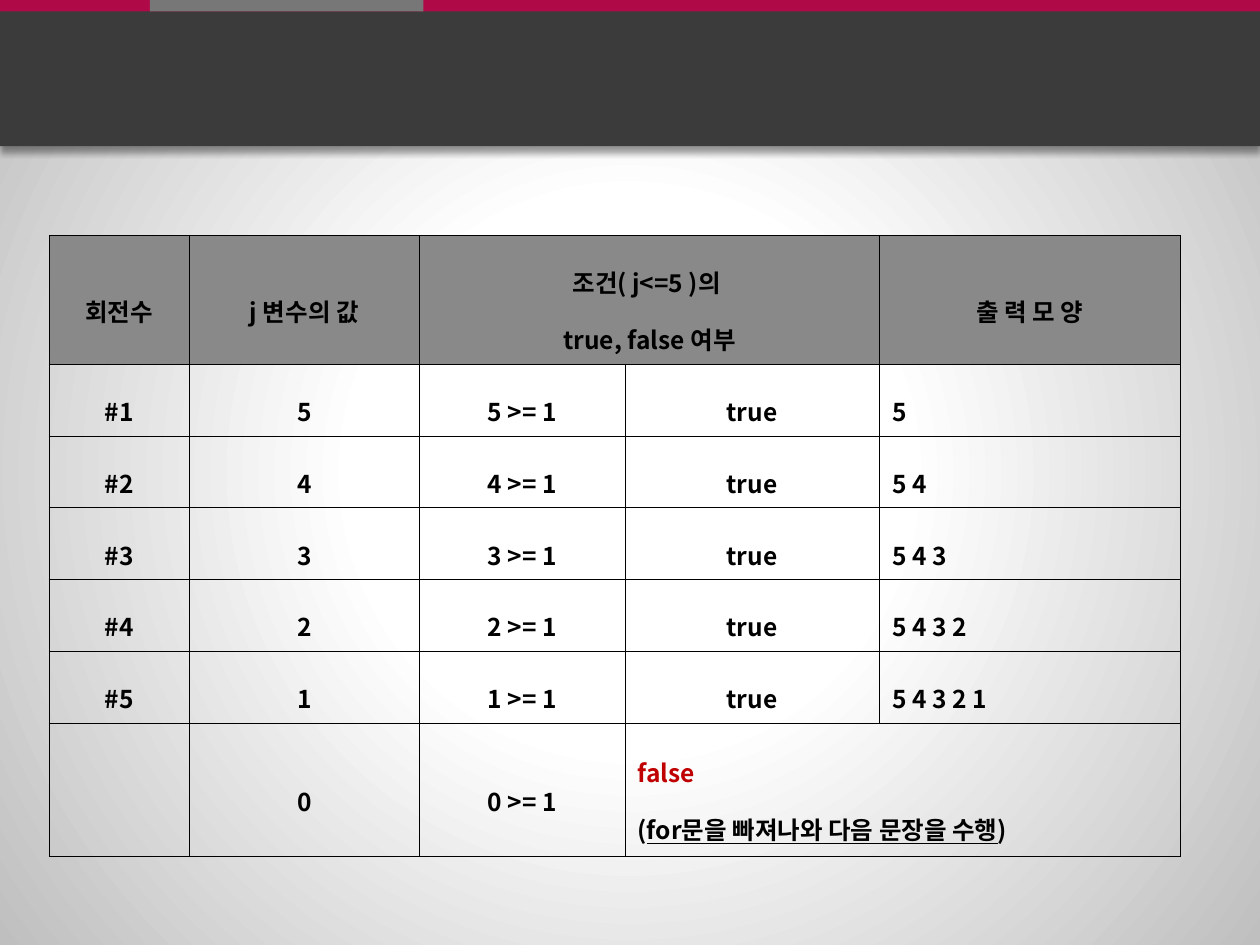
from pptx import Presentation
from pptx.dml.color import RGBColor
from pptx.enum.shapes import MSO_SHAPE
from pptx.enum.text import MSO_ANCHOR, PP_ALIGN
from pptx.oxml import parse_xml
from pptx.oxml.ns import nsdecls, qn
from pptx.util import Inches, Pt

BLACK = RGBColor(0x00, 0x00, 0x00)
RED = RGBColor(0xC0, 0x00, 0x00)
CRIMSON = RGBColor(0xAF, 0x09, 0x48)
CHARCOAL = RGBColor(0x3B, 0x3B, 0x3B)
TAB_GRAY = RGBColor(0x77, 0x77, 0x77)
HEADER_GRAY = RGBColor(0x89, 0x89, 0x89)
WHITE = RGBColor(0xFF, 0xFF, 0xFF)
EDGE_GRAY = RGBColor(0xBF, 0xBF, 0xBF)
BASE_STOPS = [(0, RGBColor(0xB6, 0xB6, 0xB6)), (40, RGBColor(0xE1, 0xE1, 0xE1)),
              (100, RGBColor(0xF5, 0xF5, 0xF5))]
LINEAR_DOWN = '<a:lin ang="5400000" scaled="0"/>'
FROM_CENTER = ('<a:path path="circle"><a:fillToRect l="50000" t="50000" '
               'r="50000" b="50000"/></a:path>')


class SlideBuilder:
    font_name = "Noto Sans CJK KR"
    font_format = {"name": font_name, "size": Pt(14), "bold": True}
    paragraph_format = {"line_spacing": 1.6, "space_before": Pt(0), "space_after": Pt(0)}
    table_flags = {"first_row": False, "horz_banding": False}
    border_width = Pt(0.28)

    def __init__(self, slide):
        self.slide = slide

    def apply(self, target, values):
        for name, value in values.items():
            setattr(target, name, value)

    def gradient(self, element, stops, direction):
        """Swap the first solid fill of an element for a gradient."""
        solid = element.find(".//" + qn("a:solidFill"))
        marks = "".join(f'<a:gs pos="{pos * 1000}"><a:srgbClr val="{color}"/></a:gs>'
                        for pos, color in stops)
        solid.getparent().replace(solid, parse_xml(
            f'<a:gradFill {nsdecls("a")} rotWithShape="1"><a:gsLst>{marks}</a:gsLst>'
            f'{direction}</a:gradFill>'))

    def background(self, stops):
        self.slide.background.fill.solid()
        self.slide.background.fill.fore_color.rgb = WHITE
        self.gradient(self.slide._element, stops, LINEAR_DOWN)

    def band(self, left, width, height, color):
        band = self.slide.shapes.add_shape(
            MSO_SHAPE.RECTANGLE, Inches(left), 0, Inches(width), Inches(height))
        band.shadow.inherit = False
        band.fill.solid()
        band.fill.fore_color.rgb = color
        band.line.fill.background()
        return band

    def drop_shadow(self, shape):
        effects = shape._element.spPr.find(qn("a:effectLst"))
        effects.append(parse_xml(
            f'<a:outerShdw {nsdecls("a")} blurRad="{Pt(4)}" dist="{Pt(3)}" dir="5400000" '
            f'algn="t" rotWithShape="0"><a:srgbClr val="{BLACK}"><a:alpha val="40000"/>'
            '</a:srgbClr></a:outerShdw>'))

    def borders(self, cell):
        properties = cell._tc.get_or_add_tcPr()
        for index, side in enumerate("LRTB"):
            properties.insert(index, parse_xml(
                f'<a:ln{side} {nsdecls("a")} w="{self.border_width}"><a:solidFill>'
                f'<a:srgbClr val="{BLACK}"/></a:solidFill></a:ln{side}>'))

    def cell_text(self, cell, paragraphs, align):
        """Each paragraph is a list of (text, run format) pairs."""
        cell.vertical_anchor = MSO_ANCHOR.MIDDLE
        frame = cell.text_frame
        for index, runs in enumerate(paragraphs):
            paragraph = frame.add_paragraph() if index else frame.paragraphs[0]
            self.apply(paragraph, {**self.paragraph_format, "alignment": align})
            for text, extra in runs:
                run = paragraph.add_run()
                run.text = text
                run.font.color.rgb = extra.get("color", BLACK)
                self.apply(run.font, {**self.font_format,
                                      "underline": extra.get("underline", False)})
                run.font._element.append(parse_xml(
                    f'<a:ea {nsdecls("a")} typeface="{self.font_name}"/>'))

    def table(self, left, top, widths, heights):
        table = self.slide.shapes.add_table(
            len(heights), len(widths), Inches(left), Inches(top),
            Inches(sum(widths)), Inches(sum(heights))).table
        self.apply(table, self.table_flags)
        for column, width in zip(table.columns, widths):
            column.width = Inches(width)
        for row, height in zip(table.rows, heights):
            row.height = Inches(height)
        for cell in table.iter_cells():
            cell.fill.background()
            self.borders(cell)
        return table


presentation = Presentation()
presentation.slide_width, presentation.slide_height = Inches(10), Inches(7.5)
builder = SlideBuilder(presentation.slides.add_slide(presentation.slide_layouts[6]))

# Backdrop and title bands
builder.background(BASE_STOPS)
backdrop = builder.band(0, 10, 7.5, WHITE)
builder.gradient(backdrop._element, [(35, WHITE), (100, EDGE_GRAY)], FROM_CENTER)
builder.drop_shadow(builder.band(0, 10, 1.16, CHARCOAL))
builder.band(0, 10, 0.09, CRIMSON)
builder.band(1.19, 2.17, 0.09, TAB_GRAY)

# Loop trace table
START = 5
trace = builder.table(0.39, 1.87, [1.11, 1.83, 1.63, 2.02, 2.39],
                      [1.02] + [0.57] * START + [1.06])
last_row = START + 1
trace.cell(0, 2).merge(trace.cell(0, 3))
trace.cell(last_row, 3).merge(trace.cell(last_row, 4))

# Header row
headings = {0: ["회전수"], 1: ["j 변수의 값"],
            2: ["조건( j<=5 )의 ", "true, false 여부"], 4: ["출 력 모 양"]}
for column, lines in headings.items():
    builder.cell_text(trace.cell(0, column), [[(line, {})] for line in lines],
                      PP_ALIGN.CENTER)
for column in range(5):
    header_fill = trace.cell(0, column).fill
    header_fill.solid()
    header_fill.fore_color.rgb = HEADER_GRAY

# One row per turn of the loop, then the row that ends it
for turn in range(1, last_row + 1):
    j = START + 1 - turn
    entries = {1: str(j), 2: f"{j} >= 1"}
    if j:
        entries.update({0: f"#{turn}", 3: "true"})
        output = " ".join(str(n) for n in range(START, j - 1, -1))
        builder.cell_text(trace.cell(turn, 4), [[(output, {})]], PP_ALIGN.JUSTIFY)
    for column, text in entries.items():
        builder.cell_text(trace.cell(turn, column), [[(text, {})]], PP_ALIGN.CENTER)

builder.cell_text(trace.cell(last_row, 3), [
    [("false", {"color": RED})],
    [("(", {}), ("for문을 빠져나와 다음 문장을 수행", {"underline": True}), (")", {})],
], PP_ALIGN.JUSTIFY)

presentation.save("out.pptx")
